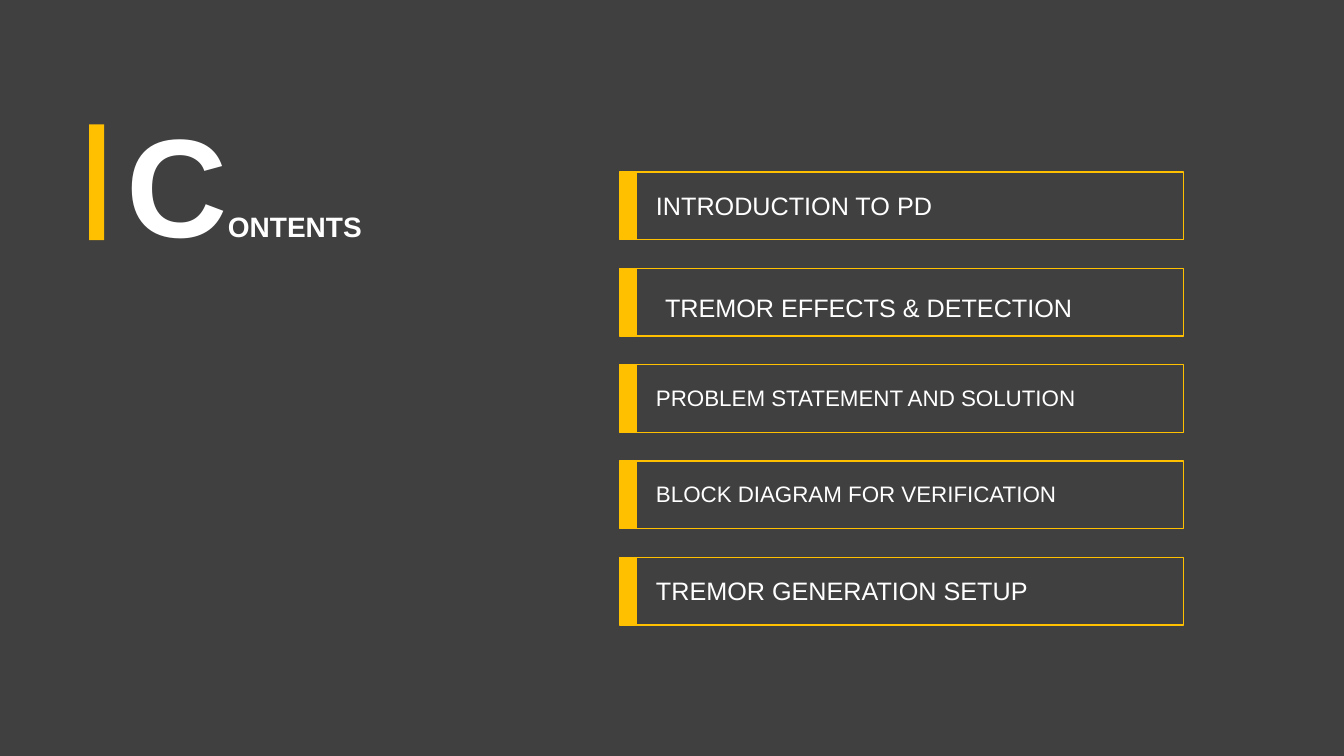
from pptx import Presentation
from pptx.dml.color import RGBColor
from pptx.enum.shapes import MSO_SHAPE
from pptx.enum.text import MSO_AUTO_SIZE
from pptx.util import Pt

DARK = RGBColor(0x40, 0x40, 0x40)
GOLD = RGBColor(0xFF, 0xC0, 0x00)
WHITE = RGBColor(0xFF, 0xFF, 0xFF)

prs = Presentation()
prs.slide_width, prs.slide_height = Pt(960), Pt(540)
s = prs.slides.add_slide(prs.slide_layouts[6])
s.background.fill.solid()
s.background.fill.fore_color.rgb = DARK


def add_rect(x, y, w, h, filled=True, outlined=True):
    sp = s.shapes.add_shape(MSO_SHAPE.RECTANGLE, Pt(x), Pt(y), Pt(w), Pt(h))
    sp.shadow.inherit = False
    if filled:
        sp.fill.solid()
        sp.fill.fore_color.rgb = GOLD
    else:
        sp.fill.background()
    if outlined:
        sp.line.color.rgb = GOLD
        sp.line.width = Pt(1)
    else:
        sp.line.fill.background()


def add_text(x, y, w, h, parts, bold=None):
    tf = s.shapes.add_textbox(Pt(x), Pt(y), Pt(w), Pt(h)).text_frame
    tf.word_wrap = True
    tf.auto_size = MSO_AUTO_SIZE.SHAPE_TO_FIT_TEXT
    for text, size in parts:
        r = tf.paragraphs[0].add_run()
        r.text = text
        r.font.name = "Arial"
        r.font.size = Pt(size)
        r.font.bold = bold
        r.font.color.rgb = WHITE


# Title with accent bar
add_rect(63.6, 88.8, 10.8, 82.8, outlined=False)
add_text(83.5, 66.2, 188, 128.2, [("C", 100), ("ONTENTS", 20)], bold=True)

# Contents: text, size, text left, text offset from box top, text width
TOP, PITCH, BOX_H = 123, 68.8, 48.2
items = [
    ("INTRODUCTION TO PD", 18, 461.5, 9.5, 316),
    ("TREMOR EFFECTS & DETECTION", 18, 468, 13.2, 353),
    ("PROBLEM STATEMENT AND SOLUTION", 16, 461.5, 10.2, 316),
    ("BLOCK DIAGRAM FOR VERIFICATION", 16, 461.5, 10.2, 316),
    ("TREMOR GENERATION SETUP", 18, 461.5, 9.5, 316),
]
for i, (text, size, x, offset, w) in enumerate(items):
    y = TOP + i * PITCH
    add_rect(442.6, y, 12, BOX_H)
    add_rect(454.6, y, 391, BOX_H, filled=False)
    add_text(x, y + offset, w, size * 1.2 + 7.4, [(text, size)])

prs.save("out.pptx")
